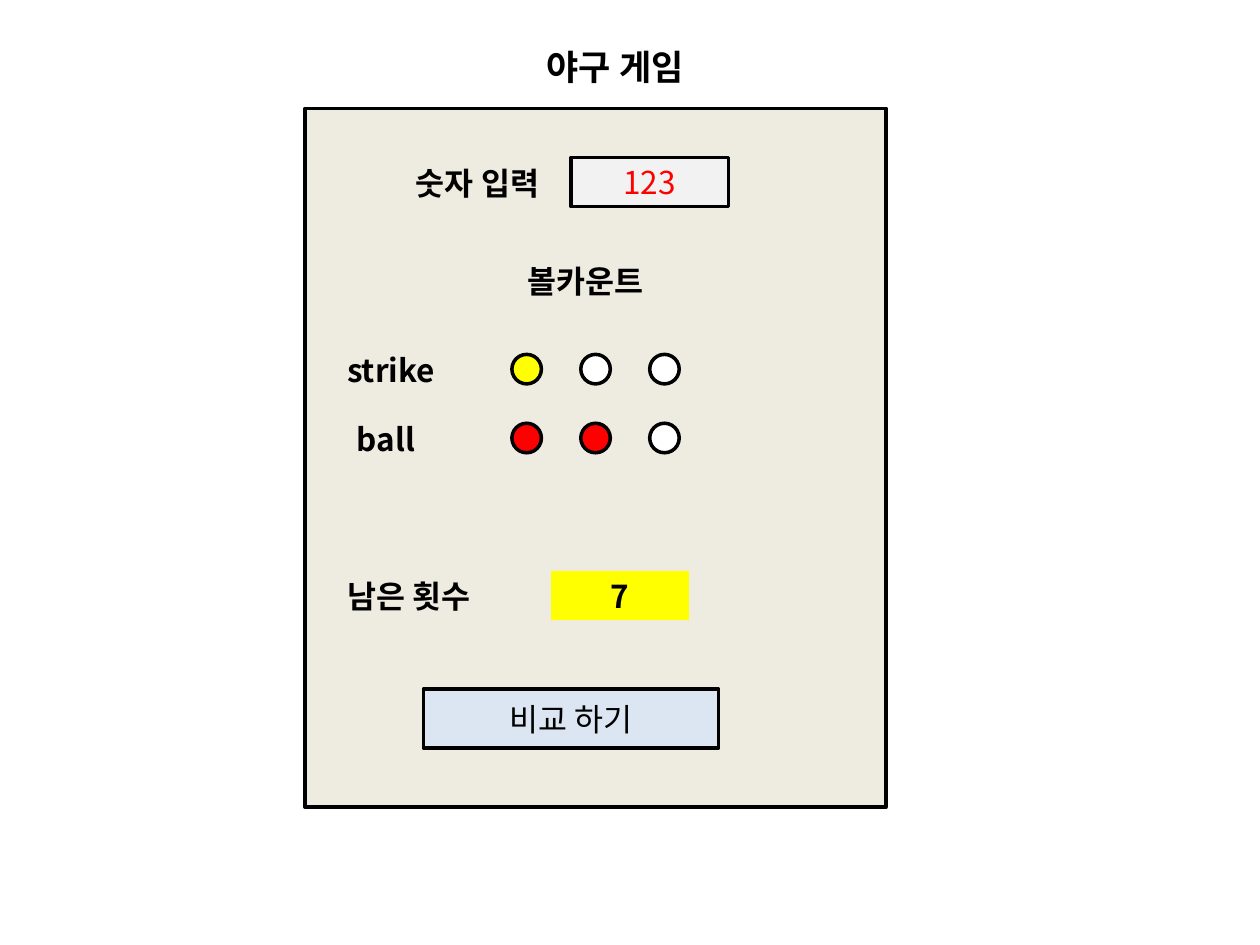
from pptx import Presentation
from pptx.dml.color import RGBColor as Rgb
from pptx.enum.shapes import MSO_SHAPE as Form
from pptx.enum.text import MSO_ANCHOR as Anchor, MSO_AUTO_SIZE as Fit, PP_ALIGN as Align
from pptx.oxml.ns import qn
from pptx.util import Inches, Pt
from lxml.etree import SubElement

COLORS = {
    "black": "000000", "white": "FFFFFF", "red": "FF0000", "yellow": "FFFF00",
    "panel": "EEECE1", "field": "F2F2F2", "button": "DCE6F2",
}


class Board:
    font = "Noto Sans CJK KR"
    size = 18
    cols, rows = 128, 96

    def __init__(self, deck):
        self.wide, self.high = deck.slide_width, deck.slide_height
        self.slide = deck.slides.add_slide(deck.slide_layouts[5])

    def place(self, x, y, w, h):
        col, row = self.wide / self.cols, self.high / self.rows
        return [round(n) for n in (x * col, y * row, w * col, h * row)]

    def color(self, name):
        return Rgb.from_string(COLORS[name])

    def text(self, shape, words, align, color="black", bold=True, size=None):
        para = shape.text_frame.paragraphs[0]
        para.text = words
        para.alignment = align
        for run in para.runs:
            font = run.font
            font.name, font.size, font.bold = self.font, Pt(size or self.size), bold
            font.color.rgb = self.color(color)
            SubElement(font._element, qn("a:ea")).set("typeface", self.font)

    def title(self, words, x, y, w, h):
        shape = self.slide.shapes.title
        shape.left, shape.top, shape.width, shape.height = self.place(x, y, w, h)
        frame = shape.text_frame
        frame.word_wrap = True
        frame.auto_size = Fit.SHAPE_TO_FIT_TEXT
        frame.vertical_anchor = Anchor.TOP
        self.text(shape, words, Align.CENTER, size=20)

    def label(self, words, x, y, w, align=Align.LEFT):
        shape = self.slide.shapes.add_textbox(*self.place(x, y, w, 5.1))
        shape.text_frame.word_wrap = True
        shape.text_frame.auto_size = Fit.SHAPE_TO_FIT_TEXT
        self.text(shape, words, align)

    def shape(self, fill, x, y, w, h, form=Form.RECTANGLE, edge=True):
        shape = self.slide.shapes.add_shape(form, *self.place(x, y, w, h))
        shape.shadow.inherit = False
        shape.fill.solid()
        shape.fill.fore_color.rgb = self.color(fill)
        if edge:
            shape.line.color.rgb = self.color("black")
            shape.line.width = Pt(2)
        else:
            shape.line.fill.background()
        return shape

    def box(self, words, fill, x, y, w, h, color="black", bold=False, edge=True):
        shape = self.shape(fill, x, y, w, h, edge=edge)
        shape.text_frame.vertical_anchor = Anchor.MIDDLE
        self.text(shape, words, Align.CENTER, color, bold)

    def lamps(self, fills, x, y, step=7, size=3):
        for i, fill in enumerate(fills):
            self.shape(fill, x + i * step, y, size, size, Form.OVAL)


def main():
    deck = Presentation()
    deck.slide_width, deck.slide_height = Inches(10), Inches(7.5)
    board = Board(deck)

    board.title("야구 게임", 38, 4, 49, 5.6)
    board.shape("panel", 31, 11, 59, 71)
    board.label("숫자 입력", 41, 16, 17)
    board.box("123", "field", 58, 16, 16, 5, color="red")

    board.label("볼카운트", 36, 26, 47, Align.CENTER)
    counts = [
        ("strike", 34, ["yellow", "white", "white"]),
        ("ball", 35, ["red", "red", "white"]),
    ]
    for i, (name, x, fills) in enumerate(counts):
        y = 35 + 7 * i
        board.label(name, x, y, 17)
        board.lamps(fills, 52, y + 1)

    board.label("남은 횟수", 34, 58, 21)
    board.box("7", "yellow", 56, 58, 14, 5, bold=True, edge=False)
    board.box("비교 하기", "button", 43, 70, 30, 6)
    deck.save("out.pptx")


if __name__ == "__main__":
    main()
